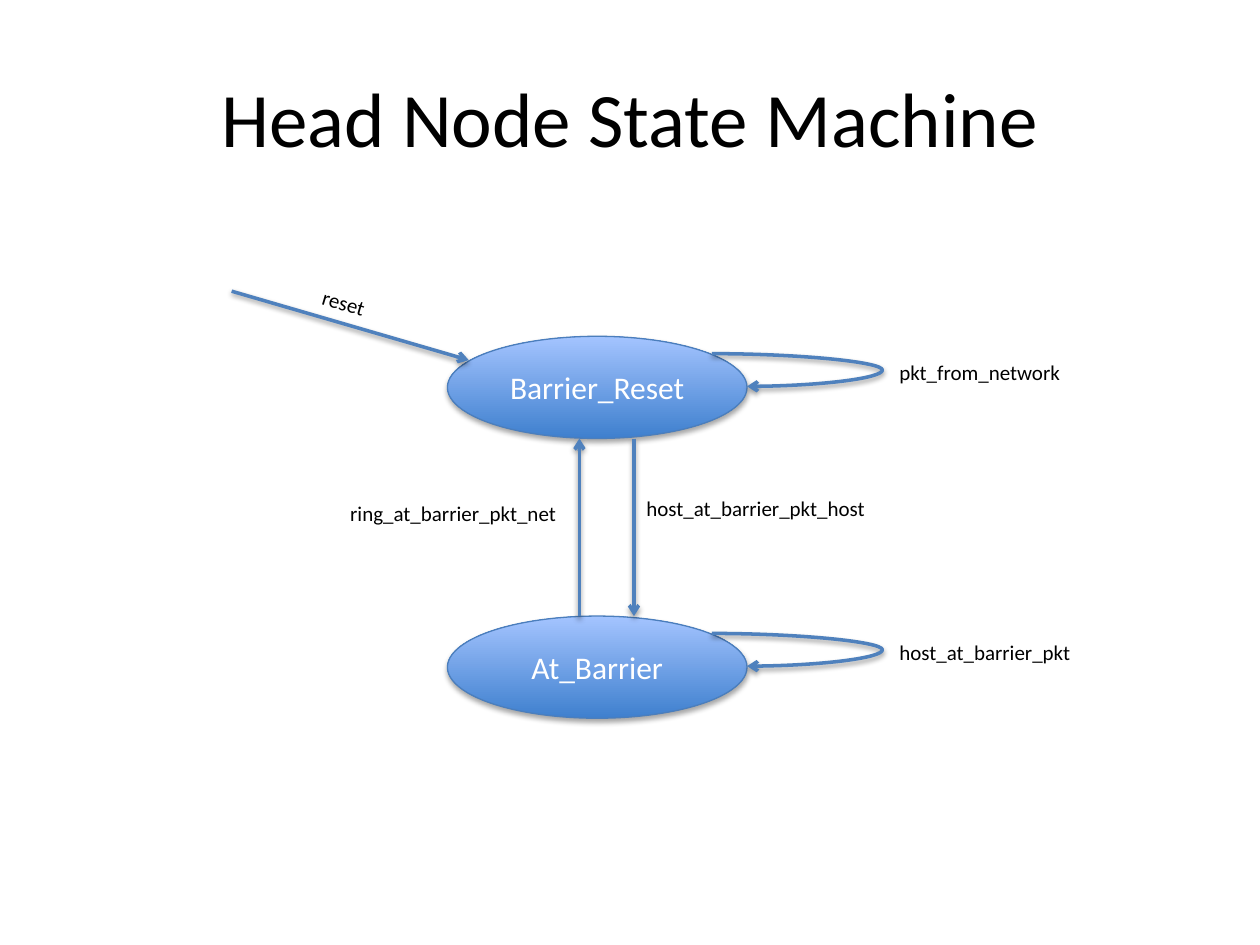
from lxml import etree
from pptx import Presentation
from pptx.dml.color import RGBColor
from pptx.enum.shapes import MSO_CONNECTOR, MSO_SHAPE
from pptx.enum.text import MSO_ANCHOR, MSO_AUTO_SIZE, PP_ALIGN
from pptx.oxml.ns import qn
from pptx.util import Cm, Pt

STRAIGHT, CURVE = MSO_CONNECTOR.STRAIGHT, MSO_CONNECTOR.CURVE
OVAL = MSO_SHAPE.OVAL
MIDDLE = MSO_ANCHOR.MIDDLE
FIT_SHAPE = MSO_AUTO_SIZE.SHAPE_TO_FIT_TEXT
LEFT, CENTER = PP_ALIGN.LEFT, PP_ALIGN.CENTER

BLACK = RGBColor(0x00, 0x00, 0x00)
WHITE = RGBColor(0xFF, 0xFF, 0xFF)
ARROW_BLUE = RGBColor(0x4F, 0x81, 0xBD)
OUTLINE_BLUE = RGBColor(0x4B, 0x7E, 0xBC)
DEEP_BLUE = RGBColor(0x3F, 0x80, 0xCE)
PALE_BLUE = RGBColor(0xA4, 0xC4, 0xFF)

FONT = "Calibri"
STATE_WIDTH, STATE_HEIGHT = 6.04, 2.06
LABEL_HEIGHT = 0.76


def write(shape, text, size, color, align):
    para = shape.text_frame.paragraphs[0]
    para.text = text
    para.alignment = align
    para.font.name = FONT
    para.font.size = Pt(size)
    para.font.color.rgb = color


def add_shadow(effects, distance, opacity):
    shadow = etree.SubElement(
        effects, qn("a:outerShdw"), blurRad=str(Pt(3.1)), dist=str(Pt(distance)),
        dir="5400000", rotWithShape="0")
    color = etree.SubElement(shadow, qn("a:srgbClr"), val=str(BLACK))
    etree.SubElement(color, qn("a:alpha"), val=str(opacity * 1000))


def add_arrow(page, start, end, kind=STRAIGHT):
    points = [Cm(value) for value in (*start, *end)]
    arrow = page.shapes.add_connector(kind, *points)
    arrow.line.color.rgb = ARROW_BLUE
    arrow.line.width = Pt(2)
    properties = arrow.element.spPr
    etree.SubElement(properties.find(qn("a:ln")), qn("a:tailEnd"), type="arrow")
    add_shadow(etree.SubElement(properties, qn("a:effectLst")), 1.6, 38)
    return arrow


def add_label(page, text, left, top, width, rotation=0):
    box = page.shapes.add_textbox(Cm(left), Cm(top), Cm(width), Cm(LABEL_HEIGHT))
    box.text_frame.word_wrap = False
    box.text_frame.auto_size = FIT_SHAPE
    box.rotation = rotation
    write(box, text, 12, BLACK, LEFT)


def add_title(page, text, left, top, width, height):
    box = page.shapes.add_textbox(Cm(left), Cm(top), Cm(width), Cm(height))
    box.text_frame.word_wrap = True
    box.text_frame.vertical_anchor = MIDDLE
    write(box, text, 44, BLACK, CENTER)


def add_state(page, name, loop_text, loop_width, left, top):
    state = page.shapes.add_shape(
        OVAL, Cm(left), Cm(top), Cm(STATE_WIDTH), Cm(STATE_HEIGHT))
    state.fill.gradient()
    state.fill.gradient_angle = 90
    for stop, color in zip(state.fill.gradient_stops, (DEEP_BLUE, PALE_BLUE)):
        stop.color.rgb = color
    state.line.color.rgb = OUTLINE_BLUE
    state.line.width = Pt(0.75)
    state.shadow.inherit = False
    add_shadow(state.element.spPr.find(qn("a:effectLst")), 1.8, 35)
    state.text_frame.vertical_anchor = MIDDLE
    write(state, name, 18, WHITE, CENTER)

    loop = add_arrow(page, (left + 5.33, top + 0.35),
                     (left + STATE_WIDTH, top + 1.01), CURVE)
    geometry = loop.element.spPr.find(qn("a:prstGeom"))
    guides = geometry.find(qn("a:avLst"))
    if guides is None:
        guides = etree.SubElement(geometry, qn("a:avLst"))
    etree.SubElement(guides, qn("a:gd"), name="adj1", fmla="val 484400")
    add_label(page, loop_text, left + 8.86, top + 0.35, loop_width)


def add_state_machine(page, left, top):
    state_left = left + 4.35
    upper, lower = top + 1.06, top + 6.7
    upper_bottom = upper + STATE_HEIGHT
    down, up = left + 8.11, left + 7.01

    add_state(page, "Barrier_Reset", "pkt_from_network", 3.81, state_left, upper)
    add_state(page, "At_Barrier", "host_at_barrier_pkt", 4.01, state_left, lower)

    add_arrow(page, (left, top + 0.15), (left + 4.78, top + 1.54))
    add_label(page, "reset", left + 1.58, top, 1.4, 16.5)
    add_arrow(page, (down, upper_bottom), (down, lower))
    add_label(page, "host_at_barrier_pkt_host", down, top + 4.14, 4.98)
    add_arrow(page, (up, lower), (up, upper_bottom))
    add_label(page, "ring_at_barrier_pkt_net", left + 2.14, top + 4.24, 4.9)


deck = Presentation()
deck.slide_width, deck.slide_height = Cm(25.4), Cm(19.05)
page = deck.slides.add_slide(deck.slide_layouts[6])
add_title(page, "Head Node State Machine", 1.27, 0.76, 22.86, 3.18)
add_state_machine(page, 4.67, 5.72)
deck.save("out.pptx")
